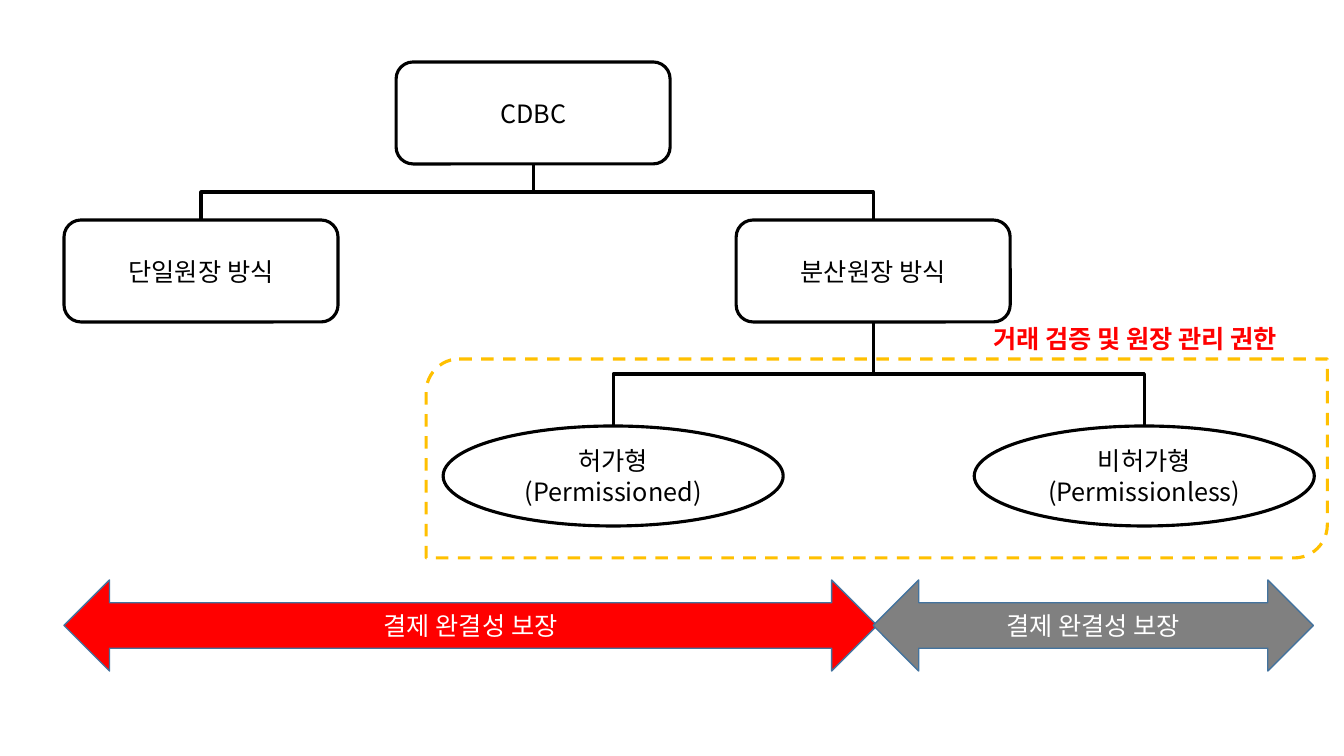
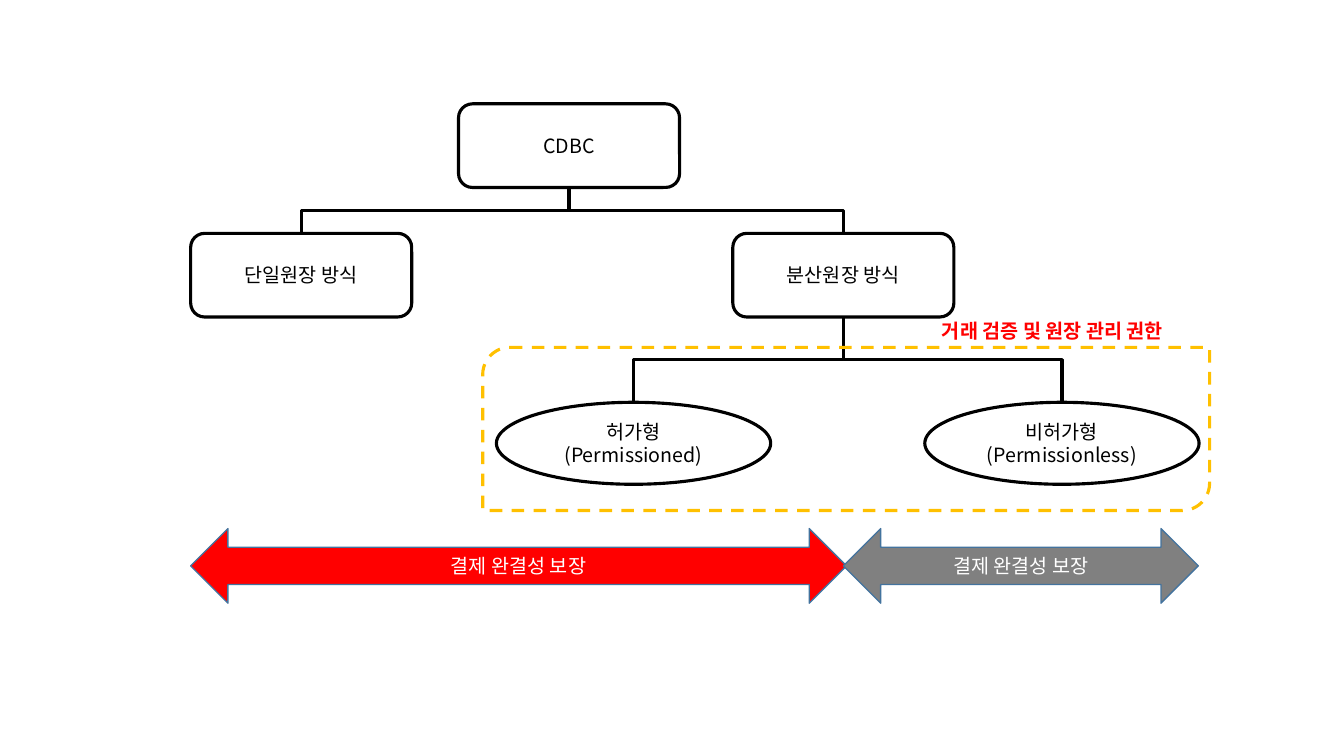
import pptx
import pptx.util
import pptx.dml.color
import pptx.enum.dml
import pptx.enum.shapes
import pptx.enum.text
import pptx.oxml.ns
import lxml.etree

RGB = pptx.dml.color.RGBColor
KIND = pptx.enum.shapes.MSO_SHAPE
ALIGN = pptx.enum.text.PP_ALIGN
BLACK = RGB(0, 0, 0)
WHITE = RGB(255, 255, 255)
RED = RGB(255, 0, 0)
GREY = RGB(128, 128, 128)
GOLD = RGB(255, 192, 0)
BLUE = RGB(0x43, 0x73, 0x9E)
FONT = "Noto Sans CJK KR"
PX = 914400 / 100.8

BOX = (274, 102)
OVAL = (340, 100)
NODES = {
    "root": (KIND.ROUNDED_RECTANGLE, 396, 62, BOX, "CDBC"),
    "single": (KIND.ROUNDED_RECTANGLE, 64, 220, BOX, "단일원장 방식"),
    "shared": (KIND.ROUNDED_RECTANGLE, 736, 220, BOX, "분산원장 방식"),
    "closed": (KIND.OVAL, 443, 426, OVAL, "허가형\v(Permissioned)"),
    "open": (KIND.OVAL, 974, 426, OVAL, "비허가형\n(Permissionless)"),
}
LINKS = [("root", "single"), ("root", "shared"),
         ("shared", "closed"), ("shared", "open")]
FRAME = (426, 359, 901, 199)
LABEL = (983, 318, 345, 40)
LABEL_TEXT = "거래 검증 및 원장 관리 권한"
ARROWS = [(64, 813, RED), (873, 440, GREY)]
ARROW_TOP, ARROW_HIGH = 580, 91
ARROW_TEXT = "결제 완결성 보장"
VIEWS = [
    {"zoom": (1, 1), "shift": (0, 0), "size": 18},
    {"zoom": (0.81, 0.82), "shift": (139, 53), "size": 14},
]
VIEWS[1]["zoom"] = (221 / 274, 0.82)


def place(view, left, top, wide, high):
    (zx, zy), (dx, dy) = view["zoom"], view["shift"]
    spots = (left * zx + dx, top * zy + dy, wide * zx, high * zy)
    return [round(spot * PX) for spot in spots]


def write(shape, text, size, color, align=ALIGN.CENTER, bold=False):
    shape.text_frame.word_wrap = True
    shape.text_frame.text = text
    for para in shape.text_frame.paragraphs:
        para.alignment = align
        font = para.font
        font.size = pptx.util.Pt(size)
        font.bold = bold
        font.color.rgb = color
        font.name = FONT
        base = para._p.pPr.find(pptx.oxml.ns.qn("a:defRPr"))
        east = lxml.etree.SubElement(base, pptx.oxml.ns.qn("a:ea"))
        east.set("typeface", FONT)


def draw(slide, kind, area, line, width, fill=None):
    shape = slide.shapes.add_shape(kind, *area)
    shape.shadow.inherit = False
    if fill is None:
        shape.fill.background()
    else:
        shape.fill.solid()
        shape.fill.fore_color.rgb = fill
    shape.line.color.rgb = line
    shape.line.width = pptx.util.Pt(width)
    return shape


def link(slide, upper, lower):
    x1, y1 = upper.left + upper.width // 2, upper.top + upper.height
    x2, y2 = lower.left + lower.width // 2, lower.top
    midx, midy = (x1 + x2) // 2, (y1 + y2) // 2
    side = 1 if x2 > x1 else -1
    run, drop = abs(x2 - x1) // 2, side * (y2 - y1) // 2
    elbow = slide.shapes.add_connector(
        pptx.enum.shapes.MSO_CONNECTOR.ELBOW,
        midx + drop, midy - run, midx - drop, midy + run)
    turn = 270 if side > 0 else 90
    props = elbow._element.spPr
    props.find(pptx.oxml.ns.qn("a:xfrm")).set("rot", str(turn * 60000))
    elbow.line.color.rgb = BLACK
    elbow.line.width = pptx.util.Pt(2.25)
    lxml.etree.SubElement(props, pptx.oxml.ns.qn("a:effectLst"))


def build(slide, view):
    size = view["size"]
    nodes = {}
    for name, (kind, left, top, dims, text) in NODES.items():
        area = place(view, left, top, *dims)
        nodes[name] = draw(slide, kind, area, BLACK, 2.25)
        write(nodes[name], text, size, BLACK)
    for upper, lower in LINKS:
        link(slide, nodes[upper], nodes[lower])
    frame = draw(slide, KIND.ROUND_2_DIAG_RECTANGLE, place(view, *FRAME),
                 GOLD, 2.25)
    frame.line.dash_style = pptx.enum.dml.MSO_LINE.DASH
    label = slide.shapes.add_textbox(*place(view, *LABEL))
    write(label, LABEL_TEXT, size, RED, ALIGN.LEFT, True)
    for left, wide, fill in ARROWS:
        area = place(view, left, ARROW_TOP, wide, ARROW_HIGH)
        arrow = draw(slide, KIND.LEFT_RIGHT_ARROW, area, BLUE, 1, fill)
        write(arrow, ARROW_TEXT, size, WHITE)


deck = pptx.Presentation()
deck.slide_width = pptx.util.Inches(13.33)
deck.slide_height = pptx.util.Inches(7.5)
for view in VIEWS:
    build(deck.slides.add_slide(deck.slide_layouts[6]), view)
deck.save("out.pptx")
